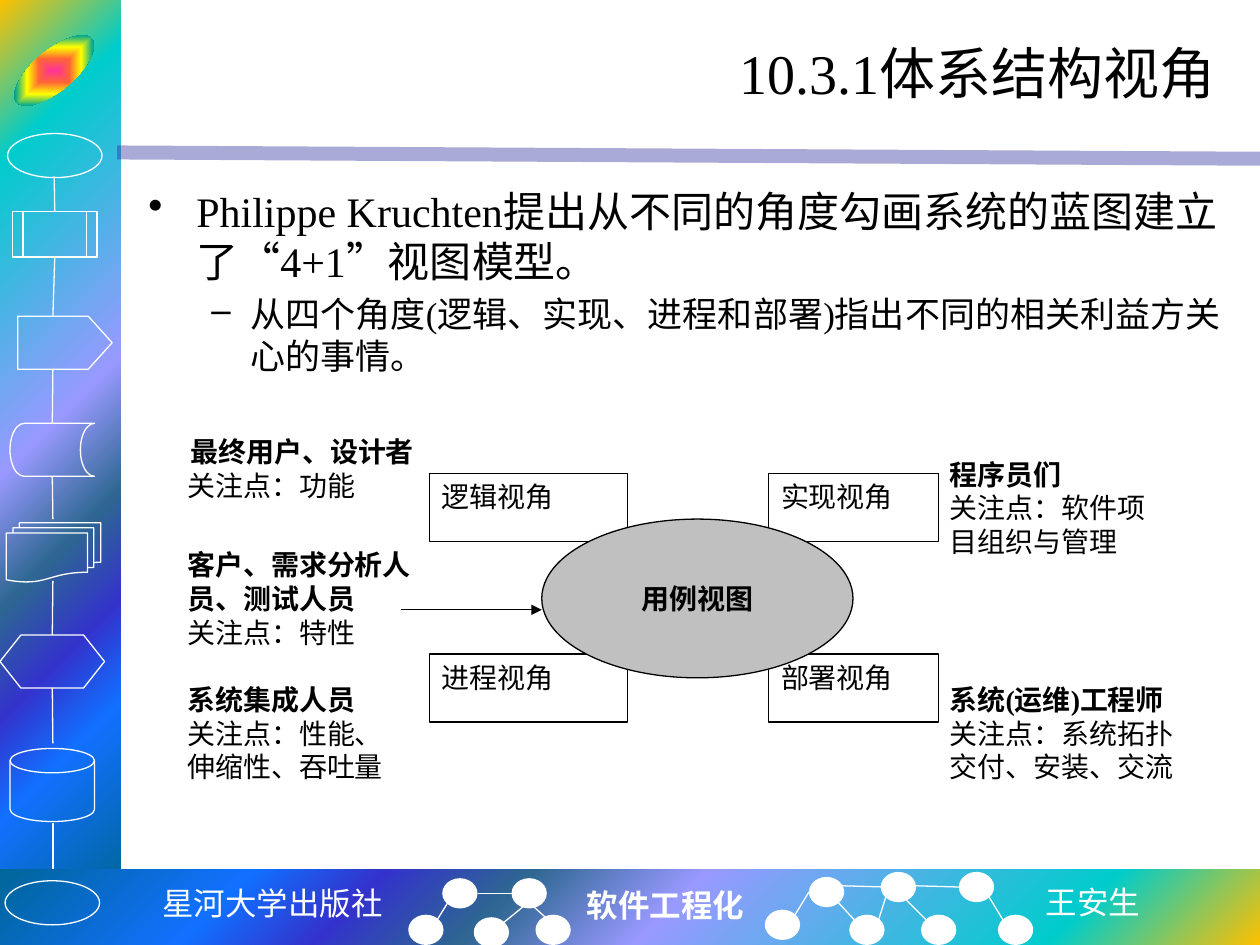
from lxml import etree
from pptx import Presentation
from pptx.dml.color import RGBColor
from pptx.enum.shapes import MSO_CONNECTOR as Link, MSO_SHAPE as Kind
from pptx.enum.text import MSO_ANCHOR as Anchor, PP_ALIGN as Align
from pptx.oxml.ns import qn
from pptx.util import Inches, Pt

WHITE = RGBColor(0xFF, 0xFF, 0xFF)
BLACK = RGBColor(0, 0, 0)
GREY = RGBColor(0xC0, 0xC0, 0xC0)
NAVY = RGBColor(0x26, 0x26, 0x99)
ROMAN = "Times New Roman"
WAVE = [(0, "FFC000"), (16, "00CCCC"), (47, "9999FF"), (60, "2E6792"),
        (71, "3333CC"), (81, "1170FF"), (100, "006699")]
RAINBOW = [(0, "FF3399"), (25, "FF6633"), (50, "FFFF00"), (75, "01A78F"),
           (100, "3366FF")]


def node(parent, tag, **attrs):
    return etree.SubElement(parent, qn(tag), {k: str(v) for k, v in attrs.items()})


def add_shape(slide, kind, box, fill=None, line=None):
    shape = slide.shapes.add_shape(kind, *map(Inches, box))
    shape.shadow.inherit = False
    if fill is None:
        shape.fill.background()
    else:
        shape.fill.solid()
        shape.fill.fore_color.rgb = fill
    if line is None:
        shape.line.fill.background()
    else:
        shape.line.color.rgb = line
        shape.line.width = Pt(0.75)
    return shape


def add_grad(shape, stops, kind, focus):
    """Fill a shape with a path gradient; focus is left, top, right, bottom in %."""
    shape.fill.gradient()
    grad = shape.fill._xPr.find(qn("a:gradFill"))
    for child in list(grad):
        grad.remove(child)
    group = node(grad, "a:gsLst")
    for pos, color in stops:
        node(node(group, "a:gs", pos=pos * 1000), "a:srgbClr", val=color)
    route = node(grad, "a:path", path=kind)
    node(route, "a:fillToRect", **{k: v * 1000 for k, v in zip("ltrb", focus)})


def add_line(slide, start, end, color=WHITE, width=0.75):
    line = slide.shapes.add_connector(Link.STRAIGHT, *map(Inches, (*start, *end)))
    line.line.color.rgb = color
    line.line.width = Pt(width)
    node(line._element.spPr, "a:effectLst")
    return line


def add_run(para, text, size, bold=False, color=BLACK, font=ROMAN):
    run = para.add_run()
    run.text = text
    run.font.size = Pt(size)
    run.font.bold = bold
    run.font.name = font
    run.font.color.rgb = color


def add_text(slide, box, wrap=True):
    frame = slide.shapes.add_textbox(*map(Inches, box)).text_frame
    frame.word_wrap = wrap
    return frame


def add_side(slide, x, y, w, h):
    """Gradient strip with a chain of flowchart symbols."""
    strip = add_shape(slide, Kind.RECTANGLE, (x, y, w, h), WHITE)
    add_grad(strip, WAVE, "circle", (0, 0, 100, 100))
    badge = add_shape(slide, Kind.OVAL, (x + 0.04, y + 0.4, 0.78, 0.32), WHITE)
    badge.rotation = -40
    add_grad(badge, RAINBOW, "shape", (50, 50, 50, 50))

    symbols = [
        (Kind.OVAL, 0.06, 1.06, 0.75, 0.35),
        (Kind.FLOWCHART_PREDEFINED_PROCESS, 0.1, 1.68, 0.67, 0.36),
        (Kind.PENTAGON, 0.14, 2.51, 0.75, 0.42),
        (Kind.FLOWCHART_STORED_DATA, 0.08, 3.36, 0.67, 0.42),
        (Kind.FLOWCHART_MULTIDOCUMENT, 0.05, 4.15, 0.75, 0.47),
        (Kind.FLOWCHART_PREPARATION, 0, 5.04, 0.83, 0.42),
        (Kind.FLOWCHART_MAGNETIC_DISK, 0.08, 5.94, 0.67, 0.58),
        (Kind.OVAL, 0.04, 6.99, 0.75, 0.35),
    ]
    chain = [add_shape(slide, kind, (x + dx, y + dy, sw, sh), line=WHITE)
             for kind, dx, dy, sw, sh in symbols]
    chain[2].adjustments[0] = 0.45

    links = [(0.43, 1.4, 0.43, 1.68), (0.43, 2.05, 0.42, 2.51),
             (0.42, 2.93, 0.42, 3.35), (0.42, 3.79, 0.42, 4.12),
             (0.42, 4.61, 0.42, 5.03), (0.42, 5.49, 0.42, 5.9),
             (0.42, 6.53, 0.42, 6.99)]
    lines = [add_line(slide, (x + a, y + b), (x + c, y + d)) for a, b, c, d in links]
    for i in (1, 3, 5):  # symbols with a joint at the middle of each side
        lines[i - 1].end_connect(chain[i], 0)
        lines[i].begin_connect(chain[i], 2)


def add_foot(slide, x, y, w, h):
    """Gradient bar with three labels and two small networks."""
    bar = add_shape(slide, Kind.RECTANGLE, (x, y, w, h), WHITE)
    add_grad(bar, WAVE, "circle", (100, 100, 0, 0))
    labels = [(1.19, 0.07, 1.97, "星河大学出版社", "Courier New", False),
              (4.56, 0.08, 1.46, "软件工程化", ROMAN, True),
              (8.2, 0.06, 0.96, "王安生", "Noto Sans CJK SC", False)]
    for dx, dy, tw, text, font, bold in labels:
        frame = add_text(slide, (x + dx, y + dy, tw, 0.4), wrap=False)
        add_run(frame.paragraphs[0], text, 18, bold, WHITE, font)

    dots = [(3.24, 0.36), (3.51, 0.07), (3.76, 0.38), (4.06, 0.07), (4.25, 0.36),
            (6.07, 0.32), (6.42, 0.06), (6.74, 0.36), (6.99, 0.02), (7.31, 0.36),
            (7.61, 0.02), (7.92, 0.36)]
    for dx, dy in dots:
        add_shape(slide, Kind.OVAL, (x + dx, y + dy, 0.28, 0.24), WHITE)
    links = [(3.47, 0.4, 3.55, 0.27), (4, 0.42, 4.16, 0.29), (4.06, 0.19, 3.79, 0.19),
             (4.34, 0.39, 4.24, 0.3), (6.31, 0.36, 6.42, 0.18), (6.68, 0.13, 7.03, 0.14),
             (6.78, 0.4, 6.65, 0.26), (6.97, 0.41, 7.03, 0.22), (7.35, 0.4, 7.15, 0.2),
             (7.26, 0.13, 7.61, 0.14), (7.96, 0.4, 7.85, 0.22)]
    for a, b, c, d in links:
        add_line(slide, (x + a, y + b), (x + c, y + d))


def add_head(slide, x, y, w, h):
    """Title with the pale rule below it."""
    rule = add_line(slide, (0.93, y + 1.04), (10, y + 1.09), NAVY, 8)
    tint = rule._element.spPr.find(".//" + qn("a:srgbClr"))
    node(tint, "a:alpha", val=39000)
    frame = add_text(slide, (x, y, w, h))
    frame.vertical_anchor = Anchor.MIDDLE
    para = frame.paragraphs[0]
    para.alignment = Align.RIGHT
    add_run(para, "10.3.1体系结构视角", 32)


def add_body(slide, x, y, w, h):
    """Two levels of bullets."""
    frame = add_text(slide, (x, y, w, h))
    items = [("Philippe Kruchten提出从不同的角度勾画系统的蓝图建立了“4+1”视图模型。",
              24, "•", 0.38, 0.38),
             ("从四个角度(逻辑、实现、进程和部署)指出不同的相关利益方关心的事情。",
              20, "–", 0.81, 0.31)]
    for i, (text, size, mark, left, hang) in enumerate(items):
        para = frame.add_paragraph() if i else frame.paragraphs[0]
        para.level = i
        para.space_before = Pt(size * 0.2)
        add_run(para, text, size)
        props = para._p.get_or_add_pPr()
        props.set("marL", str(Inches(left)))
        props.set("indent", str(-Inches(hang)))
        node(props, "a:buChar", char=mark)


def add_views(slide, x, y):
    """Four views around the use case view, each with its readers."""
    views = [("逻辑视角", "实现视角"), ("进程视角", "部署视角")]
    for row, pair in enumerate(views):
        for text, dx, w in zip(pair, (2.02, 4.71), (1.57, 1.35)):
            box = add_shape(slide, Kind.RECTANGLE,
                            (x + dx, y + 0.36 + row * 1.43, w, 0.54), line=BLACK)
            frame = box.text_frame
            frame.vertical_anchor = Anchor.TOP
            frame.paragraphs[0].alignment = Align.LEFT
            add_run(frame.paragraphs[0], text, 16)

    notes = [(0, 0, 2.02, 0.72, ["最终用户、设计者", "关注点：功能"]),
             (0, 0.9, 2.02, 1.08, ["客户、需求分析人员、测试人员", "关注点：特性"]),
             (0, 1.97, 2.02, 1.08, ["系统集成人员", "关注点：性能、", "伸缩性、吞吐量"]),
             (6.05, 0.18, 1.88, 0.9, ["程序员们", "关注点：软件项目组织与管理"]),
             (6.05, 1.97, 2.24, 1.08,
              ["系统(运维)工程师", "关注点：系统拓扑", "交付、安装、交流"])]
    for n, (dx, dy, w, h, rows) in enumerate(notes):
        frame = add_text(slide, (x + dx, y + dy, w, h))
        for i, text in enumerate(rows):
            para = frame.add_paragraph() if i else frame.paragraphs[0]
            para.alignment = Align.CENTER if n == i == 0 else Align.LEFT
            add_run(para, text, 16, bold=i == 0)

    core = add_shape(slide, Kind.OVAL, (x + 2.91, y + 0.72, 2.47, 1.26), GREY, BLACK)
    core.text_frame.vertical_anchor = Anchor.MIDDLE
    para = core.text_frame.paragraphs[0]
    para.alignment = Align.CENTER
    add_run(para, "用例视图", 16, bold=True)
    arrow = add_line(slide, (x + 1.79, y + 1.44), (x + 2.91, y + 1.44), BLACK)
    node(arrow.line._get_or_add_ln(), "a:tailEnd", type="triangle")


def main():
    deck = Presentation()
    deck.slide_width, deck.slide_height = Inches(10), Inches(7.5)
    slide = deck.slides.add_slide(deck.slide_layouts[6])
    add_side(slide, 0, 0, 0.96, 7.09)
    add_foot(slide, 0, 6.9, 10, 0.6)
    # The last symbol of the strip lies over the bar
    add_shape(slide, Kind.OVAL, (0.04, 6.99, 0.75, 0.35), line=WHITE)
    add_head(slide, 1.25, 0.17, 8.5, 0.81)
    add_body(slide, 1.08, 1.42, 8.75, 1.35)
    add_views(slide, 1.39, 3.4)
    deck.save("out.pptx")


if __name__ == "__main__":
    main()
